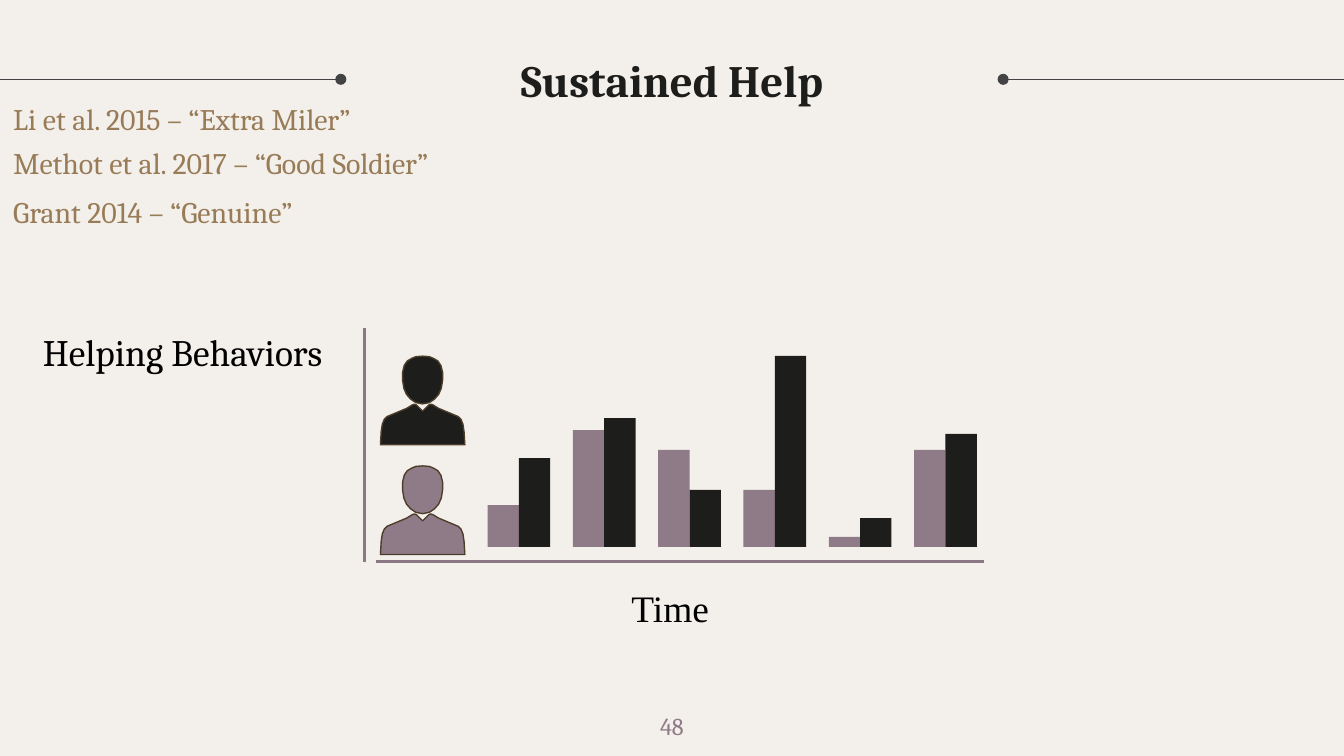
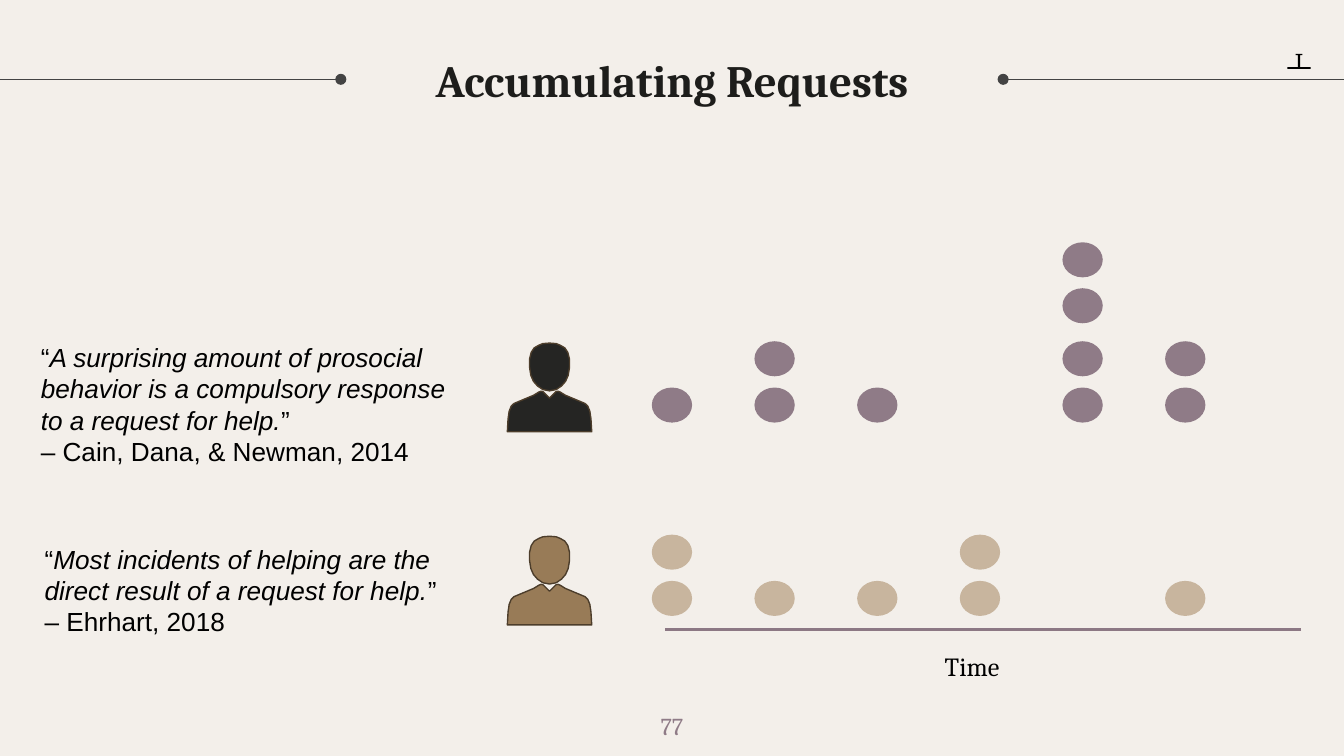
from dataclasses import dataclass

from lxml.etree import SubElement
from pptx import Presentation
from pptx.dml.color import RGBColor
from pptx.enum.shapes import MSO_CONNECTOR, MSO_SHAPE
from pptx.enum.text import MSO_ANCHOR, MSO_AUTO_SIZE, PP_ALIGN
from pptx.oxml.ns import qn
from pptx.util import Pt


@dataclass(frozen=True)
class Theme:
    paper: str = "F3EFEA"
    ink: str = "1D1D1B"
    black: str = "000000"
    rule: str = "434343"
    mauve: str = "8F7B87"
    axis: str = "8C7884"
    brown: str = "987B57"
    sand: str = "C8B59E"
    outline: str = "4C3D2B"
    serif: str = "Cambria"
    sans: str = "Arial"
    times: str = "Times New Roman"
    title: int = 24
    label: int = 20
    source: int = 16
    quote: int = 14
    number: int = 13


T = Theme()

# Right halves of symmetric outlines: offsets from the top centre
HEAD = [(0, 0), (3.6, 0.3), (5.8, 1.2), (8.2, 2.6), (9.8, 5), (10.7, 8.6), (10.7, 13),
        (10, 17.3), (8.6, 20.5), (6.4, 23), (3.6, 24.9), (0, 25.6)]
SHOULDERS = [(0, 29.5), (3.4, 26.1), (4.5, 25.8), (5.6, 26.2), (8.5, 28), (19, 32.4),
             (20.5, 33.8), (21.6, 36.5), (22.2, 40.5), (22.6, 47.5), (0, 47.5)]
TEE = [(0, 0), (1.8, 0), (1.8, 0.7), (0.6, 0.7), (0.6, 7.1), (6.2, 7.1), (6.2, 8), (0, 8)]


def rgb(color):
    return RGBColor.from_string(color)


def text(s, x, y, w, h, paras, size=T.label, font=T.serif, color=T.black, bold=False,
         align=PP_ALIGN.LEFT, anchor=MSO_ANCHOR.TOP, wrap=False, grow=True, pad=3.6):
    """Each paragraph is a list of (text, italic) runs, or a plain string."""
    tf = s.shapes.add_textbox(Pt(x), Pt(y), Pt(w), Pt(h)).text_frame
    tf.word_wrap = wrap
    tf.auto_size = MSO_AUTO_SIZE.SHAPE_TO_FIT_TEXT if grow else MSO_AUTO_SIZE.NONE
    tf.vertical_anchor = anchor
    tf.margin_top = tf.margin_bottom = Pt(pad)
    for i, para in enumerate(paras):
        p = tf.paragraphs[0] if i == 0 else tf.add_paragraph()
        p.alignment = align
        for words, italic in ([(para, False)] if isinstance(para, str) else para):
            r = p.add_run()
            r.text = words
            r.font.size, r.font.name = Pt(size), font
            r.font.bold, r.font.italic = bold, italic
            r.font.color.rgb = rgb(color)


def line(s, x1, y1, x2, y2, color=T.axis, width=1.5, dot=False):
    c = s.shapes.add_connector(MSO_CONNECTOR.STRAIGHT, Pt(x1), Pt(y1), Pt(x2), Pt(y2))
    c.line.color.rgb = rgb(color)
    c.line.width = Pt(width)
    if dot:
        SubElement(c.line._get_or_add_ln(), qn("a:headEnd"), type="oval")
    SubElement(c._element.spPr, qn("a:effectLst"))


def paint(sp, color, outline=None, alpha=100):
    sp.shadow.inherit = False
    sp.fill.solid()
    sp.fill.fore_color.rgb = rgb(color)
    if alpha < 100:
        clr = sp._element.spPr.find(qn("a:solidFill"))[0]
        SubElement(clr, qn("a:alpha"), val=str(alpha * 1000))
    if outline:
        sp.line.color.rgb = rgb(outline)
        sp.line.width = Pt(0)
    else:
        sp.line.fill.background()


def shape(s, kind, x, y, w, h, color):
    paint(s.shapes.add_shape(kind, Pt(x), Pt(y), Pt(w), Pt(h)), color)


def mirrored(shapes, cx, top, half, color, **look):
    points = half + [(-dx, dy) for dx, dy in reversed(half) if dx]
    points = [(Pt(cx + dx), Pt(top + dy)) for dx, dy in points]
    fb = shapes.build_freeform(*points[0])
    fb.add_line_segments(points[1:], close=True)
    paint(fb.convert_to_shape(), color, **look)


def person(s, cx, top, color, alpha=100):
    group = s.shapes.add_group_shape()
    for half in (HEAD, SHOULDERS):
        mirrored(group.shapes, cx, top, half, color, outline=T.outline, alpha=alpha)


def bars(s, x, base, pairs, width=16.8, pitch=45.7):
    for i, pair in enumerate(pairs):
        for j, (height, color) in enumerate(zip(pair, (T.mauve, T.ink))):
            shape(s, MSO_SHAPE.RECTANGLE, x + i * pitch + j * width, base - height,
                  width, height, color)


def dots(s, x, top, counts, color, pitch=55):
    rises = (0, 24.8, 53.2, 77.8)
    for i, count in enumerate(counts):
        for rise in rises[:count]:
            shape(s, MSO_SHAPE.OVAL, x + i * pitch, top - rise, 21.6, 18.8, color)


def new_slide(prs, title, number):
    s = prs.slides.add_slide(prs.slide_layouts[6])
    # Header rules, title and page number
    for start, end in ((182.6, 0), (537.4, 720)):
        line(s, start, 42.5, end, 42.5, T.rule, 0.75, dot=True)
    text(s, 183, 8.6, 354, 67.7, [title], size=T.title, color=T.ink, bold=True,
         align=PP_ALIGN.CENTER, anchor=MSO_ANCHOR.MIDDLE, wrap=True, grow=False, pad=7.2)
    text(s, 338.4, 373.7, 43.2, 31, [number], size=T.number, color=T.mauve,
         align=PP_ALIGN.CENTER, wrap=True, grow=False, pad=7.2)
    return s


def sustained_help(prs):
    s = new_slide(prs, "Sustained Help", "48")
    # Sources
    for y, w, words in ((50.4, 219.6, "Li et al. 2015 – “Extra Miler”"),
                        (73.8, 270.7, "Methot et al. 2017 – “Good Soldier”"),
                        (100.1, 186.5, "Grant 2014 – “Genuine”")):
        text(s, 0, y, w, 26.6, [words], size=T.source, color=T.brown)
    # Axes and labels
    line(s, 195.2, 175.7, 195.2, 301)
    line(s, 527, 301, 201.2, 301)
    text(s, 8.6, 172.8, 178.6, 31.5, ["Helping Behaviors"], align=PP_ALIGN.CENTER)
    text(s, 331.2, 309.8, 56.9, 31.5, ["Time"], font=T.times)
    # People and their help over time
    person(s, 226.4, 190.8, T.ink)
    person(s, 226.4, 249.6, T.mauve)
    bars(s, 261.2, 293, [(22.4, 47.6), (62.6, 69), (52, 30.5),
                         (30.5, 102.3), (5.3, 15.4), (52, 60.6)])


def accumulating_requests(prs):
    s = new_slide(prs, "Accumulating Requests", "77")
    mirrored(s.shapes, 695.9, 28.9, TEE, T.black)
    # Quotations
    quotes = (
        (14.8, 179.3, 233.3, 74.9, "A surprising amount of prosocial behavior is a "
         "compulsory response to a request for help.", "– Cain, Dana, & Newman, 2014"),
        (16.8, 287.3, 231.8, 58.3, "Most incidents of helping are the direct result of "
         "a request for help.", "– Ehrhart, 2018"))
    for x, y, w, h, quote, author in quotes:
        text(s, x, y, w, h, [[("“", False), (quote, True), ("”", False)], author],
             size=T.quote, font=T.sans, wrap=True)
    # People and the requests they receive
    person(s, 294.4, 183.8, T.ink, alpha=96)
    person(s, 294.4, 287.3, T.brown)
    dots(s, 349.2, 207.6, (1, 2, 1, 0, 4, 2), T.mauve)
    dots(s, 349.2, 311.2, (2, 1, 1, 2, 0, 1), T.sand)
    # Time axis
    line(s, 697, 337.3, 356.4, 337.3)
    text(s, 499, 344.9, 46.8, 24.2, ["Time"], size=T.quote)


def main():
    prs = Presentation()
    prs.slide_width, prs.slide_height = Pt(720), Pt(405)
    fill = prs.slide_master.background.fill
    fill.solid()
    fill.fore_color.rgb = rgb(T.paper)
    sustained_help(prs)
    accumulating_requests(prs)
    prs.save("out.pptx")


if __name__ == "__main__":
    main()
